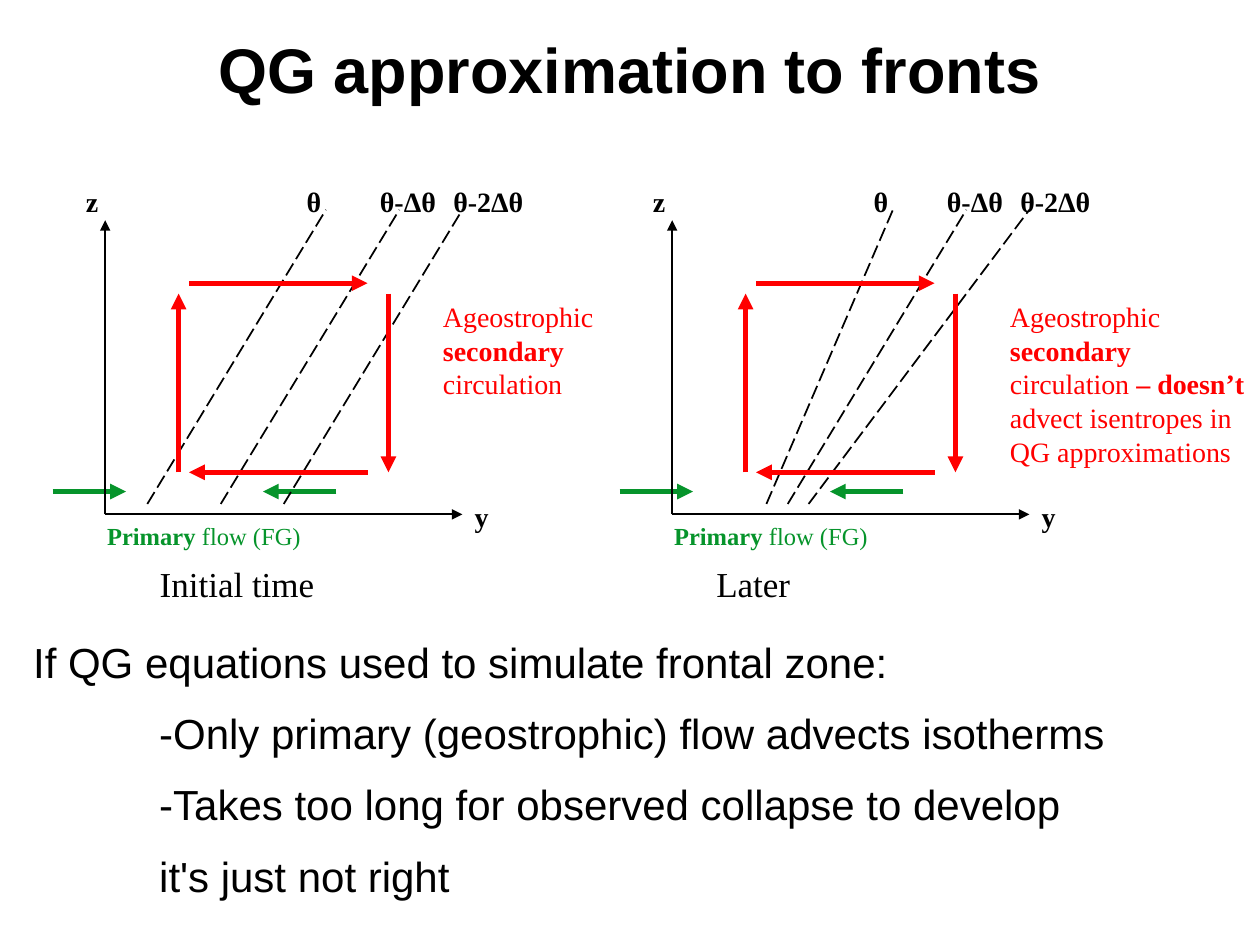
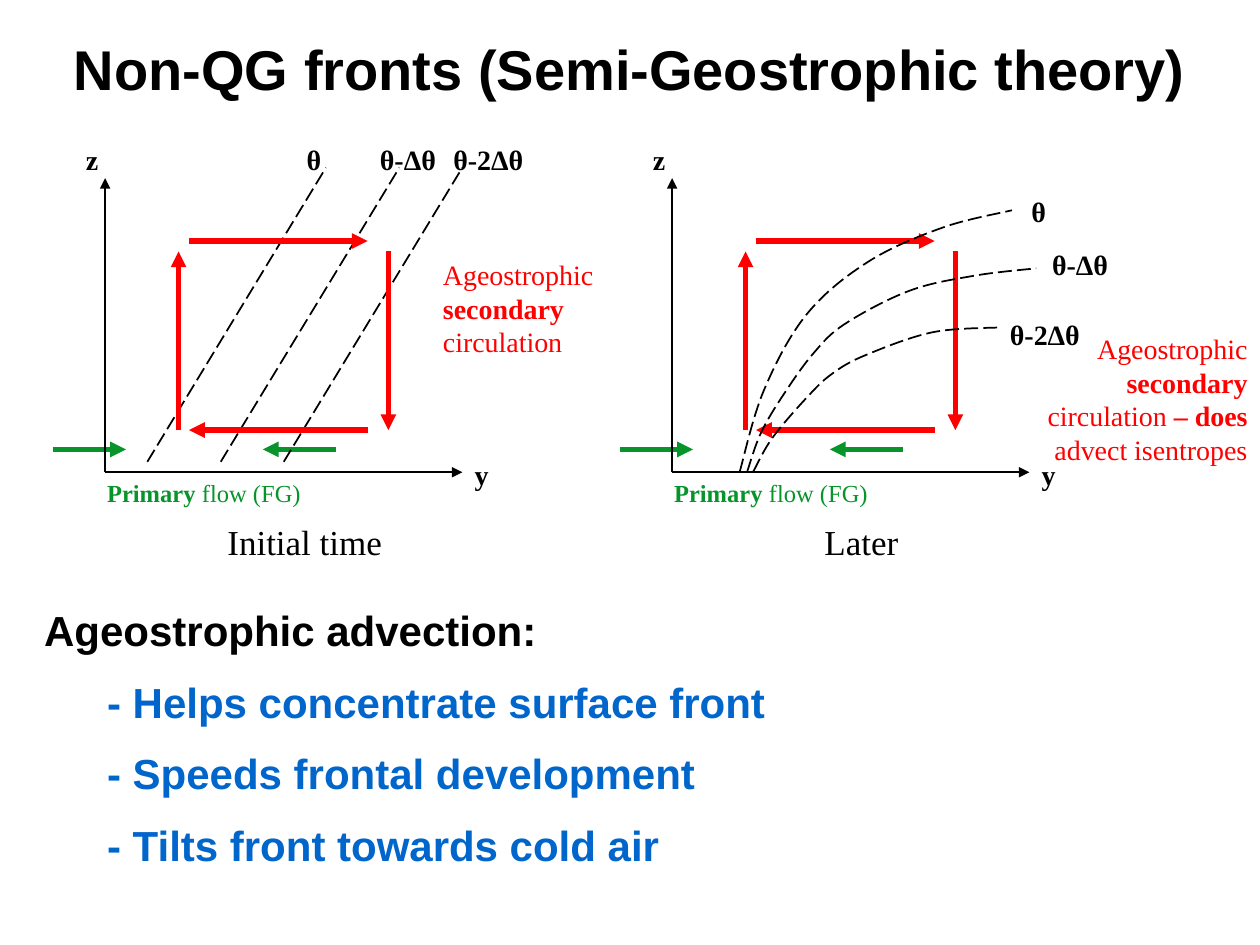
from lxml.etree import SubElement
from pptx import Presentation
from pptx.dml.color import RGBColor
from pptx.enum.dml import MSO_LINE
from pptx.enum.shapes import MSO_CONNECTOR, MSO_SHAPE
from pptx.enum.text import MSO_ANCHOR, MSO_AUTO_SIZE, PP_ALIGN
from pptx.oxml.ns import qn
from pptx.util import Cm, Pt

BLACK, WHITE, RED, GREEN, BLUE = "000000", "FFFFFF", "FF0000", "06942B", "0066CC"
SANS, SERIF = "Arial", "Times New Roman"
PANEL_LEFTS = (2.12, 13.55)
ISENTROPES = (("θ", 1.06), ("θ-Δθ", 1.9), ("θ-2Δθ", 2.33))
ISENTROPE_TOPS = (4.45, 5.93, 7.2)
LABEL_LEFTS = (3.81, 5.29, 6.77)
INITIAL_FEET = (0.85, 2.33, 3.6)
LATER_FEET = (1.9, 2.33, 2.75)
CURVES = (
    [(1.36, 0), (1.85, 1.65), (2.71, 3.18), (3.95, 4.24), (5.45, 4.93), (6.85, 5.28)],
    [(1.51, 0), (1.79, 0.79), (2.25, 1.57), (2.86, 2.41), (3.5, 3),
     (4.79, 3.66), (6.09, 3.96), (7.34, 4.11)],
    [(1.64, 0.02), (2.02, 0.69), (2.71, 1.5), (3.22, 1.98), (3.9, 2.36),
     (5.25, 2.82), (6.64, 2.92)],
)
CURVE_LABELS = ((6.99, 5.72), (7.41, 4.66), (6.56, 3.25))


def color(value):
    return RGBColor.from_string(value)


def smooth_outline(shape):
    """Turn the straight segments of a freeform into smooth Bézier segments."""
    segments = list(shape._element.iter(qn("a:lnTo")))
    knots = [(int(point.get("x")), int(point.get("y"))) for point in shape._element.iter(qn("a:pt"))]
    padded = [knots[0], *knots, knots[-1]]
    for segment, a, b, c, d in zip(segments, padded, padded[1:], padded[2:], padded[3:]):
        first = [q + (r - p) / 6 for p, q, r in zip(a, b, c)]
        second = [r - (s - q) / 6 for q, r, s in zip(b, c, d)]
        segment.tag = qn("a:cubicBezTo")
        segment.remove(segment[0])
        for x, y in (first, second, c):
            SubElement(segment, qn("a:pt"), x=str(round(x)), y=str(round(y)))


class FrontDeck:
    """Draw front diagrams measured in centimetres from each panel's axis origin."""

    def __init__(self):
        self.presentation = Presentation()
        self.presentation.slide_width, self.presentation.slide_height = Cm(25.4), Cm(19.05)

    def new_slide(self, base, backdrop_top, backdrop_height):
        """Start a slide with a white backdrop and panels standing on the height base."""
        self.slide = self.presentation.slides.add_slide(self.presentation.slide_layouts[6])
        self.base = base
        backdrop = self.rectangle(0, backdrop_top, 25.4, backdrop_height)
        backdrop.line.color.rgb, backdrop.line.width = color(WHITE), Pt(1)

    def rectangle(self, left, top, width, height):
        """Add a white rectangle."""
        shape = self.slide.shapes.add_shape(
            MSO_SHAPE.RECTANGLE, Cm(left), Cm(top), Cm(width), Cm(height))
        shape.shadow.inherit = False
        shape.fill.solid()
        shape.fill.fore_color.rgb = color(WHITE)
        return shape

    def title(self, words, left, width, size):
        """Add the centred slide title."""
        shape = self.rectangle(left, 0.42, width, 1.91)
        shape.line.fill.background()
        shape.text_frame.word_wrap = True
        shape.text_frame.vertical_anchor = MSO_ANCHOR.MIDDLE
        paragraph = shape.text_frame.paragraphs[0]
        paragraph.alignment = PP_ALIGN.CENTER
        self.style(paragraph, SANS, size, BLACK, True)
        paragraph.add_run().text = words

    def style(self, paragraph, font, size, tint, bold):
        """Set the font of a paragraph."""
        paragraph.font.name, paragraph.font.size = font, Pt(size)
        paragraph.font.bold = bold
        paragraph.font.color.rgb = color(tint)

    def text(self, lines, left, top, width, height, size, tint=BLACK, font=SERIF, bold=None,
             align=PP_ALIGN.LEFT, indent=0, item_tint=BLACK):
        """Add a text box; asterisks enclose bold words and later lines are indented."""
        box = self.slide.shapes.add_textbox(Cm(left), Cm(top), Cm(width), Cm(height))
        frame = box.text_frame
        frame.word_wrap = True
        frame.auto_size = MSO_AUTO_SIZE.SHAPE_TO_FIT_TEXT
        for number, line in enumerate(lines):
            paragraph = frame.add_paragraph() if number else frame.paragraphs[0]
            paragraph.alignment = align
            if number:
                paragraph.space_before = Pt(12)
                paragraph._p.get_or_add_pPr().set("marL", str(Cm(indent)))
            self.style(paragraph, font, size, item_tint if number else tint, bold)
            for part, words in enumerate(line.split("*")):
                if words:
                    run = paragraph.add_run()
                    run.text = words
                    if part % 2:
                        run.font.bold = True

    def panel_text(self, words, left, up, width, height, size=16, **style):
        """Add a text box placed from the panel's origin."""
        self.text([words], self.left + left, self.base - up, width, height, size, **style)

    def line(self, start, end, tint=BLACK, width=1, arrow=True):
        """Draw an arrow, or a dashed line, between two panel points."""
        ends = [Cm(value) for x, up in (start, end) for value in (self.left + x, self.base - up)]
        connector = self.slide.shapes.add_connector(MSO_CONNECTOR.STRAIGHT, *ends)
        connector.line.color.rgb, connector.line.width = color(tint), Pt(width)
        if arrow:
            SubElement(connector.line._get_or_add_ln(), qn("a:tailEnd"), type="triangle")
        else:
            connector.line.dash_style = MSO_LINE.LONG_DASH
        SubElement(connector._element.spPr, qn("a:effectLst"))

    def curve(self, knots):
        """Draw a dashed smooth curve through panel points."""
        points = [(Cm(self.left + x), Cm(self.base - up)) for x, up in knots]
        builder = self.slide.shapes.build_freeform(*points[0])
        builder.add_line_segments(points[1:], close=False)
        shape = builder.convert_to_shape()
        smooth_outline(shape)
        shape.shadow.inherit = False
        shape.fill.background()
        shape.line.color.rgb, shape.line.width = color(BLACK), Pt(1)
        shape.line.dash_style = MSO_LINE.LONG_DASH

    def isentropes(self, feet):
        """Draw the straight isentropes with their labels on top."""
        for foot, top, left, (name, width) in zip(feet, ISENTROPE_TOPS, LABEL_LEFTS, ISENTROPES):
            self.line((foot, 0.21), (top, 6.14), arrow=False)
            self.panel_text(name, left, 6.77, width, 0.93, bold=True)

    def curved_isentropes(self):
        """Draw the curved isentropes with their labels at the right."""
        for knots, (left, up), (name, width) in zip(CURVES, CURVE_LABELS, ISENTROPES):
            self.curve(knots)
            self.panel_text(name, left, up, width, 0.93, bold=True)

    def panel(self, number, caption, caption_left, align, feet=None):
        """Draw axes, primary flow, isentropes and secondary circulation."""
        self.left = PANEL_LEFTS[number]
        for start, end in (((-1.06, 0.46), (0.42, 0.46)), ((4.66, 0.46), (3.18, 0.46))):
            self.line(start, end, GREEN, 3)
        self.panel_text("*Primary* flow (FG)", -0.21, 0, 4.45, 0.84, 14, tint=GREEN)
        for tip, name, left, up in (((0, 5.93), "z", -0.64, 6.77), ((7.2, 0), "y", 7.2, 0.42)):
            self.line((0, 0), tip)
            self.panel_text(name, left, up, 1.06, 0.93, bold=True)
        if feet:
            self.isentropes(feet)
        for start, end in (((1.48, 0.85), (1.48, 4.45)), ((1.69, 4.66), (5.29, 4.66)),
                           ((5.71, 4.45), (5.71, 0.85)), ((5.29, 0.85), (1.69, 0.85))):
            self.line(start, end, RED, 3)
        if not feet:
            self.curved_isentropes()
        self.panel_text(caption, caption_left, -0.85, 6.35, 1.09, 20, align=align)

    def circulation_note(self, ending="", up=4.45, width=3.6, height=2.29, align=PP_ALIGN.LEFT):
        """Describe the secondary circulation beside the current panel."""
        self.panel_text("Ageostrophic *secondary* circulation" + ending, 6.56, up, width, height,
                        tint=RED, align=align)


def main():
    deck = FrontDeck()

    deck.new_slide(10.37, 3.39, 10.16)
    deck.panel(0, "Initial time", 0.85, PP_ALIGN.LEFT, INITIAL_FEET)
    deck.circulation_note()
    deck.panel(1, "Later", 0.64, PP_ALIGN.LEFT, LATER_FEET)
    deck.circulation_note(" *– doesn’t *advect isentropes in QG approximations",
                          width=5.29, height=3.66)
    deck.title("QG approximation to fronts", 1.9, 21.59, 36)
    deck.text(["If QG equations used to simulate frontal zone:",
               "-Only primary (geostrophic) flow advects isotherms",
               "-Takes too long for observed collapse to develop",
               "it's just not right"],
              0.42, 12.7, 24.55, 5.9, 24, font=SANS, indent=2.54)

    deck.new_slide(9.52, 2.54, 9.95)
    deck.panel(0, "Initial time", 0.85, PP_ALIGN.CENTER, INITIAL_FEET)
    deck.circulation_note()
    deck.panel(1, "Later", 0.64, PP_ALIGN.CENTER)
    deck.circulation_note(" *– does *advect isentropes", 2.96, 5.29, 3, PP_ALIGN.RIGHT)
    deck.title("Non-QG fronts (Semi-Geostrophic theory)", 0, 25.4, 32)
    deck.text(["Ageostrophic advection:",
               "- Helps concentrate surface front",
               "- Speeds frontal development",
               "- Tilts front towards cold air"],
              0.64, 12.07, 22.65, 5.9, 24, font=SANS, bold=True, indent=1.27, item_tint=BLUE)

    deck.presentation.save("out.pptx")


if __name__ == "__main__":
    main()
